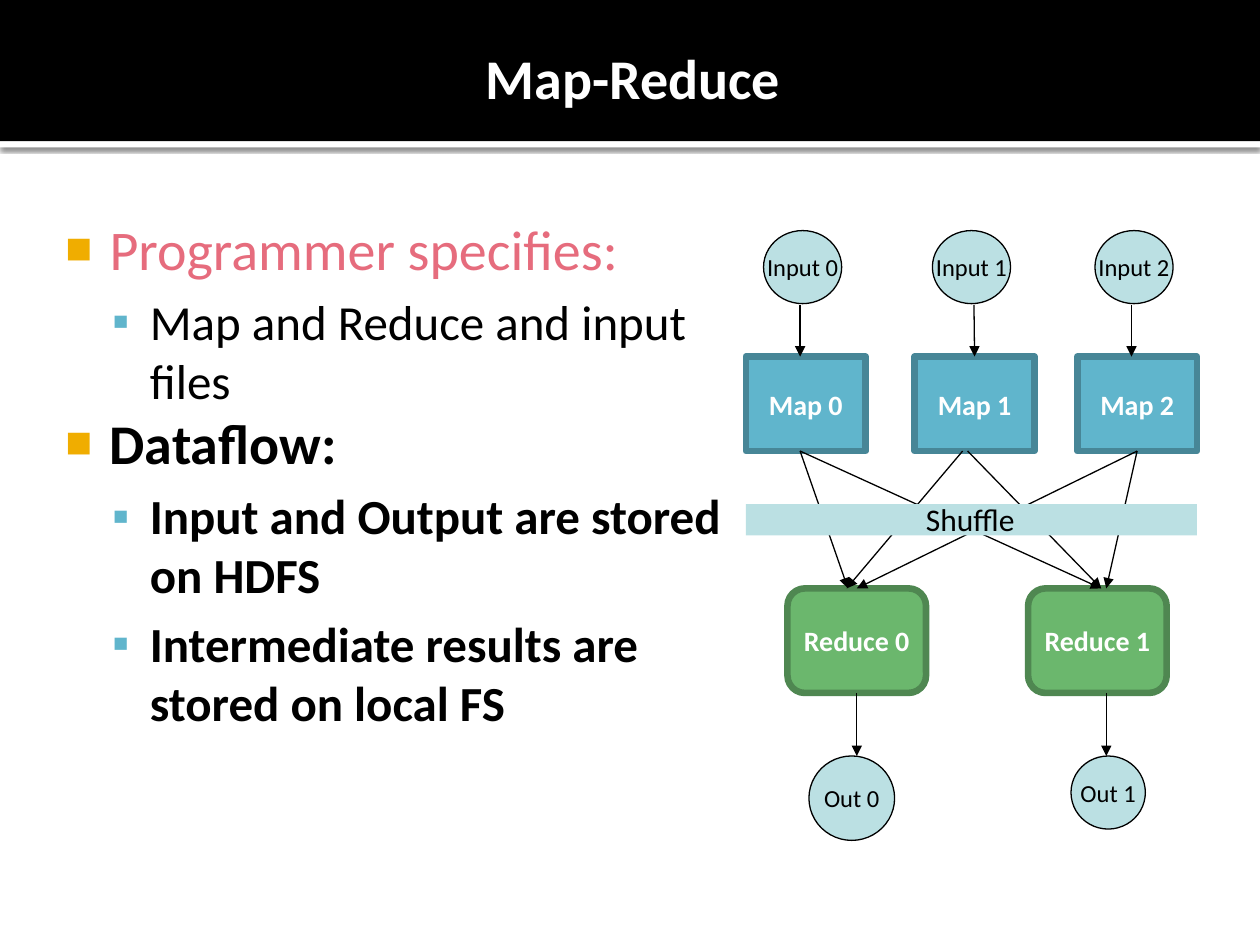
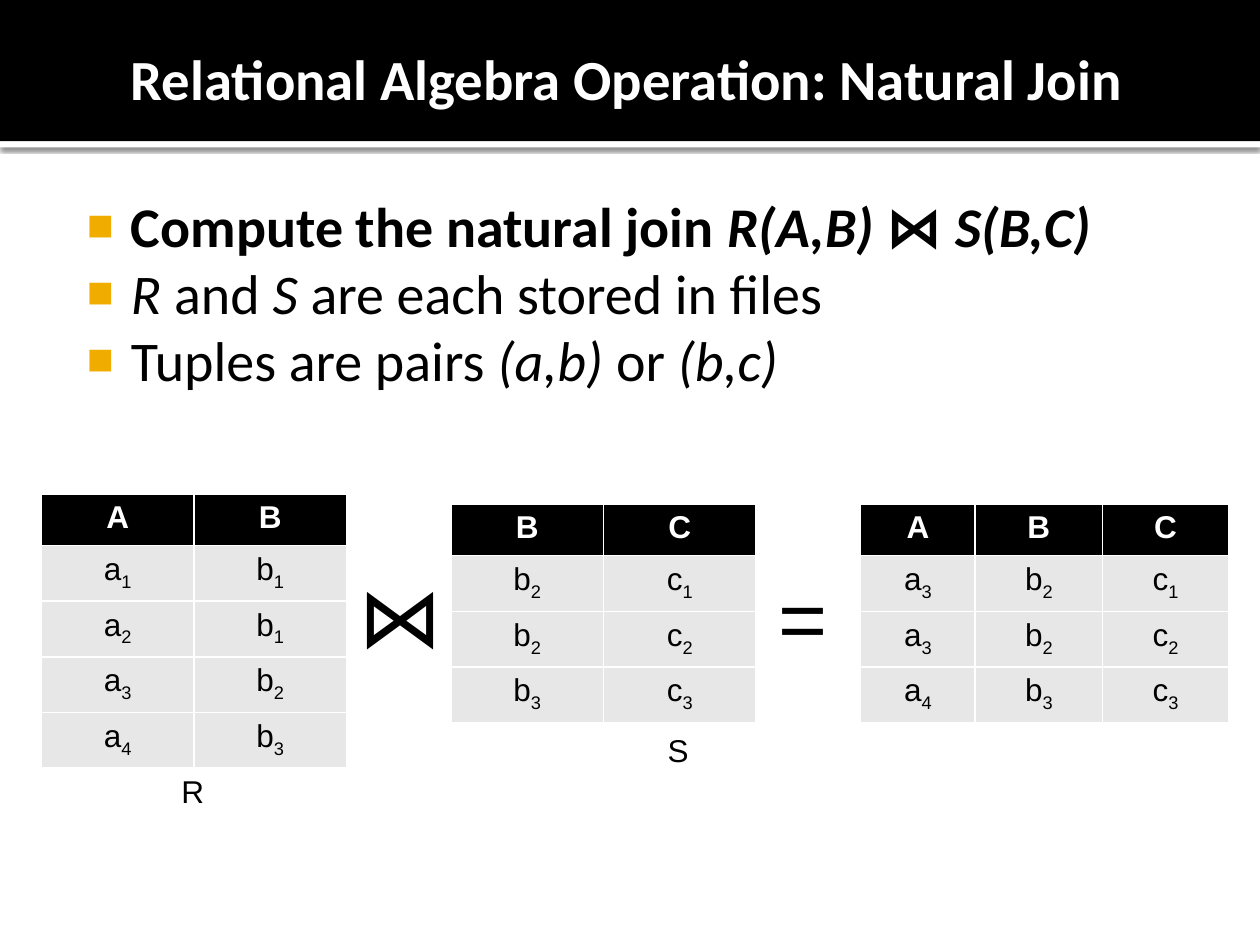
import pptx
import pptx.dml.color
import pptx.enum.shapes
import pptx.enum.text
import pptx.oxml
import pptx.oxml.ns
import pptx.util
from lxml import etree

Inches = pptx.util.Inches
Pt = pptx.util.Pt
KIND = pptx.enum.shapes.MSO_SHAPE
ALIGN = pptx.enum.text.PP_ALIGN
ANCHOR = pptx.enum.text.MSO_ANCHOR

BLACK, WHITE, CORAL = "000000", "FFFFFF", "E66C7D"
GOLD, BLUE, STEEL = "F0AD00", "60B5CC", "478697"
GREEN, MOSS, ICE, GREY = "6BB76D", "4F8751", "BBE0E3", "E7E7E7"

LEVELS = [
    {"mark": "■", "color": GOLD, "scale": 80, "left": 0.48, "hang": 0.35, "size": 32, "gap": 0},
    {"mark": "▪", "color": BLUE, "scale": 100, "left": 0.8, "hang": 0.3, "size": 28, "gap": 5.6},
]
BOLD, SLANT = {"bold": True}, {"italic": True}
BOTH = BOLD | SLANT
NODE = {"size": 14, "color": BLACK}
TASK = {"size": 16, "color": WHITE, "bold": True}


def tint(code):
    return pptx.dml.color.RGBColor.from_string(code)


def parse(text):
    space = 'xmlns:a="http://schemas.openxmlformats.org/drawingml/2006/main"'
    return pptx.oxml.parse_xml(text.replace(">", f" {space}>", 1) if "/>" not in text.split(">")[0] + ">"
                               else text.replace("/>", f" {space}/>", 1))


def style(font, look):
    look = {"name": "Calibri", "color": BLACK} | look
    for key, value in look.items():
        if key == "color":
            font.color.rgb = tint(value)
        else:
            setattr(font, key, Pt(value) if key == "size" else value)


def write(para, text, look):
    run = para.add_run()
    run.text = text
    style(run.font, look)
    return run


def setup(frame, look):
    for key, value in look.items():
        setattr(frame, key, value)


def label(slide, at, text, look, wrap=False, align=ALIGN.LEFT, **extra):
    frame = slide.shapes.add_textbox(*map(Inches, at)).text_frame
    setup(frame, {"word_wrap": wrap} | extra)
    para = frame.paragraphs[0]
    para.alignment = align
    write(para, text, look)


def shape(slide, kind, at, fill, line=None, width=0.75, text=None, look=NODE):
    item = slide.shapes.add_shape(kind, *map(Inches, at))
    item.shadow.inherit = False
    item.fill.solid()
    item.fill.fore_color.rgb = tint(fill)
    if line:
        item.line.color.rgb = tint(line)
        item.line.width = Pt(width)
    else:
        item.line.fill.background()
    if text:
        setup(item.text_frame, {"word_wrap": False, "vertical_anchor": ANCHOR.MIDDLE})
        para = item.text_frame.paragraphs[0]
        para.alignment = ALIGN.CENTER
        write(para, text, look)
    return item


def wire(slide, start, end):
    ends = [(0, 0) if hasattr(p[0], "shape_id") else p for p in (start, end)]
    kind = pptx.enum.shapes.MSO_CONNECTOR.STRAIGHT
    line = slide.shapes.add_connector(kind, *(Inches(v) for p in ends for v in p))
    for point, join in ((start, line.begin_connect), (end, line.end_connect)):
        if hasattr(point[0], "shape_id"):
            join(*point)
    line.line.color.rgb = tint(BLACK)
    line.line.width = Pt(0.75)
    line.line._get_or_add_ln().append(parse('<a:tailEnd type="triangle"/>'))
    line._element.spPr.append(parse("<a:effectLst/>"))


def start(deck, title, size, top):
    slide = deck.slides.add_slide(deck.slide_layouts[6])
    strip = shape(slide, KIND.RECTANGLE, (0, 1.12, 10, 0.05), WHITE)
    glow = strip._element.spPr.find(pptx.oxml.ns.qn("a:effectLst"))
    glow.append(parse(
        '<a:outerShdw blurRad="31750" dist="10160" dir="5400000">'
        '<a:srgbClr val="000000"><a:alpha val="60000"/></a:srgbClr></a:outerShdw>'))
    shape(slide, KIND.RECTANGLE, (0, 0, 10, 1.12), BLACK)
    label(slide, (0.5, top, 9, 1.08), title, {"size": size, "color": WHITE, "bold": True},
          wrap=True, align=ALIGN.CENTER, vertical_anchor=ANCHOR.MIDDLE, margin_right=Inches(0.05))
    return slide


def bullets(slide, at, items):
    frame = slide.shapes.add_textbox(*map(Inches, at)).text_frame
    setup(frame, {"word_wrap": True, "margin_left": Inches(0.06), "margin_top": Inches(0.1)})
    for row, (depth, runs) in enumerate(items):
        para = frame.add_paragraph() if row else frame.paragraphs[0]
        level = LEVELS[depth]
        props = para._p.get_or_add_pPr()
        props.set("marL", str(Inches(level["left"])))
        props.set("indent", str(-Inches(level["hang"])))
        for part in (f'<a:buClr><a:srgbClr val="{level["color"]}"/></a:buClr>',
                     f'<a:buSzPct val="{level["scale"] * 1000}"/>',
                     '<a:buFont typeface="Arial"/>',
                     f'<a:buChar char="{level["mark"]}"/>'):
            props.append(parse(part))
        if level["gap"]:
            para.space_before = Pt(level["gap"])
        for text, look in runs:
            write(para, text, {"size": level["size"]} | look)


def edge(cell):
    props = cell._tc.get_or_add_tcPr()
    for side in "LRTB":
        props.append(parse(f'<a:ln{side} w="12700"><a:solidFill><a:srgbClr val="{WHITE}"/>'
                           f'</a:solidFill></a:ln{side}>'))


def table(slide, left, top, widths, rows, height):
    data = [row.split() for row in rows]
    sizes = [0.41] + [height] * (len(data) - 1)
    box = map(Inches, (left, top, sum(widths), sum(sizes)))
    grid = slide.shapes.add_table(len(data), len(widths), *box).table
    grid.horz_banding = False
    for col, width in zip(grid.columns, widths):
        col.width = Inches(width)
    for r, row in enumerate(data):
        grid.rows[r].height = Inches(sizes[r])
        for c, text in enumerate(row):
            cell = grid.cell(r, c)
            edge(cell)
            cell.fill.solid()
            cell.fill.fore_color.rgb = tint(GREY if r else BLACK)
            para = cell.text_frame.paragraphs[0]
            para.alignment = ALIGN.CENTER
            look = {"name": "Arial", "size": 18, "bold": not r, "color": BLACK if r else WHITE}
            write(para, text[0], look)
            if text[1:]:
                low = write(para, text[1:], look)
                low._r.get_or_add_rPr().set("baseline", "-25000")


def flow(deck):
    slide = start(deck, "Map-Reduce", 32, 0.07)
    bullets(slide, (0.33, 1.6, 5.58, 5.75), [
        (0, [("Programmer specifies:", {"color": CORAL})]),
        (1, [("Map and Reduce and input files", {})]),
        (0, [("Dataflow:", BOLD)]),
        (1, [("Input and Output are stored on HDFS", BOLD)]),
        (1, [("Intermediate results are stored on local FS", BOLD)]),
    ])
    maps = []
    for n, left in enumerate((5.92, 7.26, 8.55)):
        shape(slide, KIND.OVAL, (left + 0.14, 1.83, 0.62, 0.58), ICE, BLACK, text=f"Input {n}")
        maps.append(shape(slide, KIND.RECTANGLE, (left, 2.83, 0.95, 0.75), BLUE, STEEL, 3.78,
                          f"Map {n}", TASK))
    cuts = [shape(slide, KIND.ROUNDED_RECTANGLE, (left, 4.67, 1.1, 0.83), GREEN, MOSS, 3.78,
                  f"Reduce {n}", TASK) for n, left in enumerate((6.25, 8.16))]
    for n, at in enumerate(((6.42, 6, 0.68, 0.67), (8.5, 6, 0.59, 0.58))):
        shape(slide, KIND.OVAL, at, ICE, BLACK, text=f"Out {n}")
    last = (maps[2], 2)
    for head, tail in (
        ((6.35, 2.42), (6.35, 2.83)),
        ((7.73, 2.42), (maps[1], 0)),
        ((8.98, 2.42), (8.98, 2.83)),
        ((6.35, 3.58), (6.73, 4.67)),
        ((6.35, 3.58), (8.74, 4.67)),
        ((7.64, 3.58), (6.72, 4.67)),
        ((7.68, 3.58), (8.74, 4.67)),
        (last, (cuts[0], 0)),
        (last, (8.78, 4.67)),
        ((cuts[0], 2), (6.8, 6)),
        ((8.78, 5.5), (8.78, 6)),
    ):
        wire(slide, head, tail)
    shape(slide, KIND.RECTANGLE, (5.92, 4, 3.58, 0.25), ICE)
    label(slide, (7.25, 3.92, 0.98, 0.4), "Shuffle", {"size": 18})


def join(deck):
    slide = start(deck, "Relational Algebra Operation: Natural Join ", 32.4, 0.08)
    bullets(slide, (0.5, 1.42, 9, 2.33), [
        (0, [("Compute the natural join ", BOLD), ("R(A,B) ", BOTH), ("⋈", BOLD),
             (" S(B,C)", BOTH)]),
        (0, [("R", SLANT), (" and ", {}), ("S", SLANT), (" are each stored in files", {})]),
        (0, [("Tuples are pairs ", {}), ("(a,b)", SLANT), (" or ", {}), ("(b,c)", SLANT)]),
    ])
    pair = (1.21, 1.21)
    table(slide, 0.33, 3.92, pair, ["A B", "a1 b1", "a2 b1", "a3 b2", "a4 b3"], 0.42)
    table(slide, 3.58, 4, pair, ["B C", "b2 c1", "b2 c2", "b3 c3"], 0.42)
    table(slide, 6.83, 4, (0.91, 1.01, 1), ["A B C", "a3 b2 c1", "a3 b2 c2", "a4 b3 c3"], 0.44)
    for at, text, size in (
        ((2.75, 4.42, 0.76, 0.91), "⋈", 48),
        ((6.08, 4.44, 0.55, 0.91), "=", 48),
        ((1.34, 6.08, 0.38, 0.4), "R", 18),
        ((5.2, 5.75, 0.38, 0.4), "S", 18),
    ):
        label(slide, at, text, {"name": "Arial", "size": size})


def main():
    deck = pptx.Presentation()
    deck.slide_width, deck.slide_height = Inches(10), Inches(7.5)
    flow(deck)
    join(deck)
    deck.save("out.pptx")


if __name__ == "__main__":
    main()
